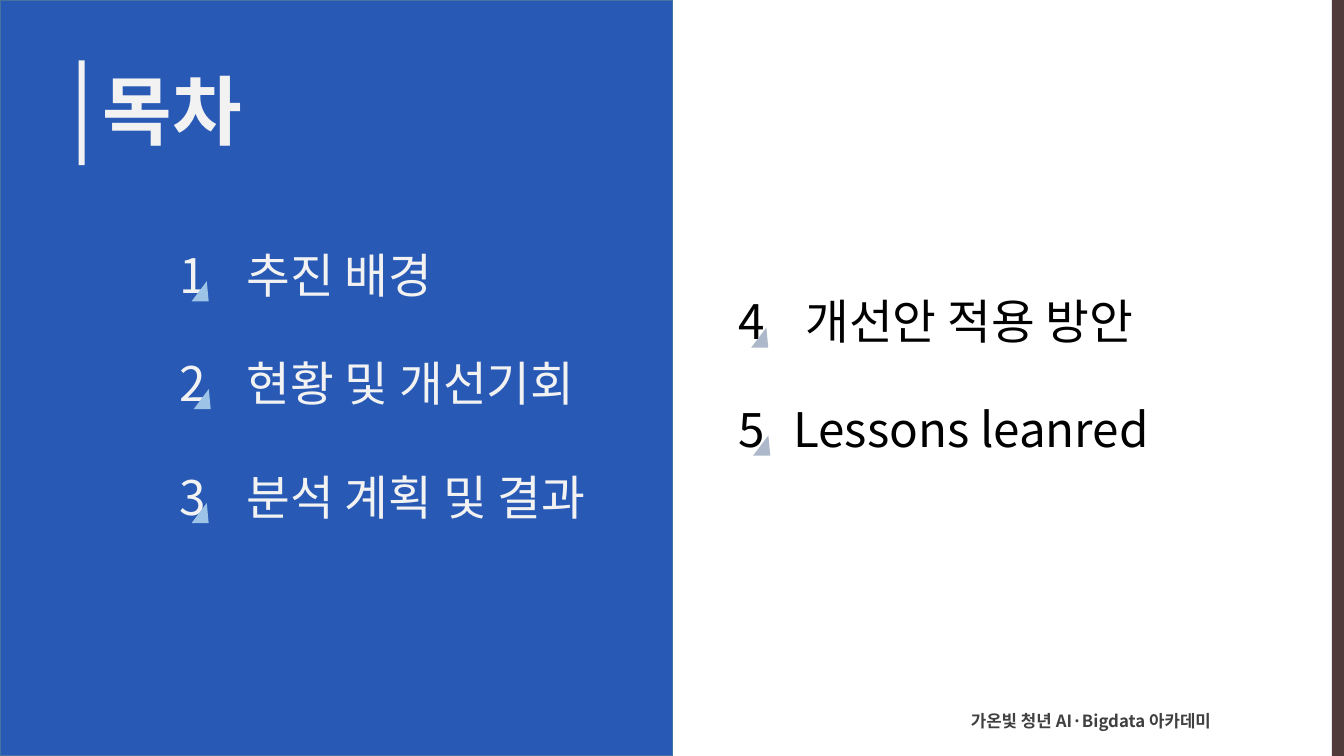
from dataclasses import dataclass

from lxml.etree import SubElement
from pptx import Presentation
from pptx.dml.color import RGBColor
from pptx.enum.shapes import MSO_SHAPE as Preset
from pptx.enum.text import MSO_ANCHOR as Anchor, MSO_AUTO_SIZE as AutoSize, PP_ALIGN as Align
from pptx.oxml.ns import qn
from pptx.shapes.autoshape import Shape
from pptx.slide import Slide
from pptx.text.text import TextFrame, _Paragraph as Paragraph
from pptx.util import Emu, Pt

EMU_PER_PX = 9144  # 100 px to the inch
FONT = "Noto Sans CJK KR"
COLORS = {
    "panel": "1047AD",
    "panel_line": "43739E",
    "light": "F2F2F2",
    "edge": "4F3B3A",
    "footer": "404040",
    "black": "000000",
    "marker_left": "9DC3E6",
    "marker_right": "ADB9CA",
}


@dataclass(frozen=True)
class Box:
    left: int
    top: int
    width: int
    height: int

    def emu(self) -> tuple[Emu, ...]:
        return tuple(Emu(v * EMU_PER_PX) for v in (self.left, self.top, self.width, self.height))


@dataclass(frozen=True)
class Entry:
    number: str
    topic: str
    box: Box
    topic_tab: int
    color: str
    marker_color: str
    marker_dx: int = 22


ENTRIES = [
    Entry("1", "추진 배경", Box(168, 239, 465, 67), 67, "light", "marker_left"),
    Entry("2", "현황 및 개선기회", Box(168, 346, 465, 55), 67, "light", "marker_left", 24),
    Entry("3", "분석 계획 및 결과", Box(168, 459, 489, 125), 67, "light", "marker_left"),
    Entry("4", "개선안 적용 방안", Box(723, 285, 465, 67), 66, "black", "marker_right"),
    Entry("5", "Lessons leanred", Box(723, 392, 527, 67), 54, "black", "marker_right", 24),
]


def rgb(name: str) -> RGBColor:
    return RGBColor.from_string(COLORS[name])


def add_filled(slide: Slide, preset: Preset, box: Box, color: str) -> Shape:
    shape = slide.shapes.add_shape(preset, *box.emu())
    shape.shadow.inherit = False
    shape.fill.solid()
    shape.fill.fore_color.rgb = rgb(color)
    shape.line.fill.background()
    return shape


def add_run(paragraph: Paragraph, text: str, size: int, color: str, bold: bool = False) -> None:
    run = paragraph.add_run()
    run.text = text
    run.font.size = Pt(size)
    run.font.bold = bold
    run.font.name = FONT
    run.font.color.rgb = rgb(color)
    SubElement(run.font._element, qn("a:ea"), typeface=FONT)


def add_text_frame(slide: Slide, box: Box) -> TextFrame:
    frame = slide.shapes.add_textbox(*box.emu()).text_frame
    frame.word_wrap = True
    return frame


def add_panels(slide: Slide) -> None:
    panel = add_filled(slide, Preset.RECTANGLE, Box(0, 0, 667, 750), "panel")
    panel.line.color.rgb = rgb("panel_line")
    panel.line.width = Pt(1)
    panel_color = panel.fill._xPr.find(qn("a:solidFill"))[0]
    SubElement(panel_color, qn("a:alpha"), val="90000")
    add_filled(slide, Preset.RECTANGLE, Box(78, 60, 6, 104), "light")
    add_filled(slide, Preset.RECTANGLE, Box(1321, 0, 12, 750), "edge")


def set_title(slide: Slide) -> None:
    """Place the title placeholder in front of the panels and fill it."""
    title = slide.shapes.title
    title.element.getparent().append(title.element)
    title.left, title.top, title.width, title.height = Box(92, 60, 1150, 108).emu()
    title.text_frame.vertical_anchor = Anchor.MIDDLE
    heading = title.text_frame.paragraphs[0]
    heading.alignment = Align.LEFT
    heading.line_spacing = 0.9
    add_run(heading, "목차", 54, "light", bold=True)


def add_footer(slide: Slide) -> None:
    frame = add_text_frame(slide, Box(857, 695, 450, 40))
    frame.vertical_anchor = Anchor.MIDDLE
    footer = frame.paragraphs[0]
    footer.alignment = Align.CENTER
    add_run(footer, "가온빛 청년 AI·Bigdata 아카데미", 12, "footer", bold=True)


def add_entry(slide: Slide, entry: Entry) -> None:
    frame = add_text_frame(slide, entry.box)
    frame.auto_size = AutoSize.SHAPE_TO_FIT_TEXT
    line = frame.paragraphs[0]
    tabs = SubElement(line._p.get_or_add_pPr(), qn("a:tabLst"))
    SubElement(tabs, qn("a:tab"), pos=str(entry.topic_tab * EMU_PER_PX), algn="l")
    add_run(line, f"{entry.number}\t{entry.topic}", 34, entry.color)

    corner = Box(entry.box.left + entry.marker_dx, entry.box.top + 40, 17, 20)
    marker = add_filled(slide, Preset.ISOSCELES_TRIANGLE, corner, entry.marker_color)
    marker.adjustments[0] = 0.89


def main() -> None:
    deck = Presentation()
    deck.slide_width = Emu(1333 * EMU_PER_PX)
    deck.slide_height = Emu(750 * EMU_PER_PX)
    slide = deck.slides.add_slide(deck.slide_layouts.get_by_name("Title Only"))
    add_panels(slide)
    set_title(slide)
    add_footer(slide)
    for entry in ENTRIES:
        add_entry(slide, entry)
    deck.save("out.pptx")


if __name__ == "__main__":
    main()
